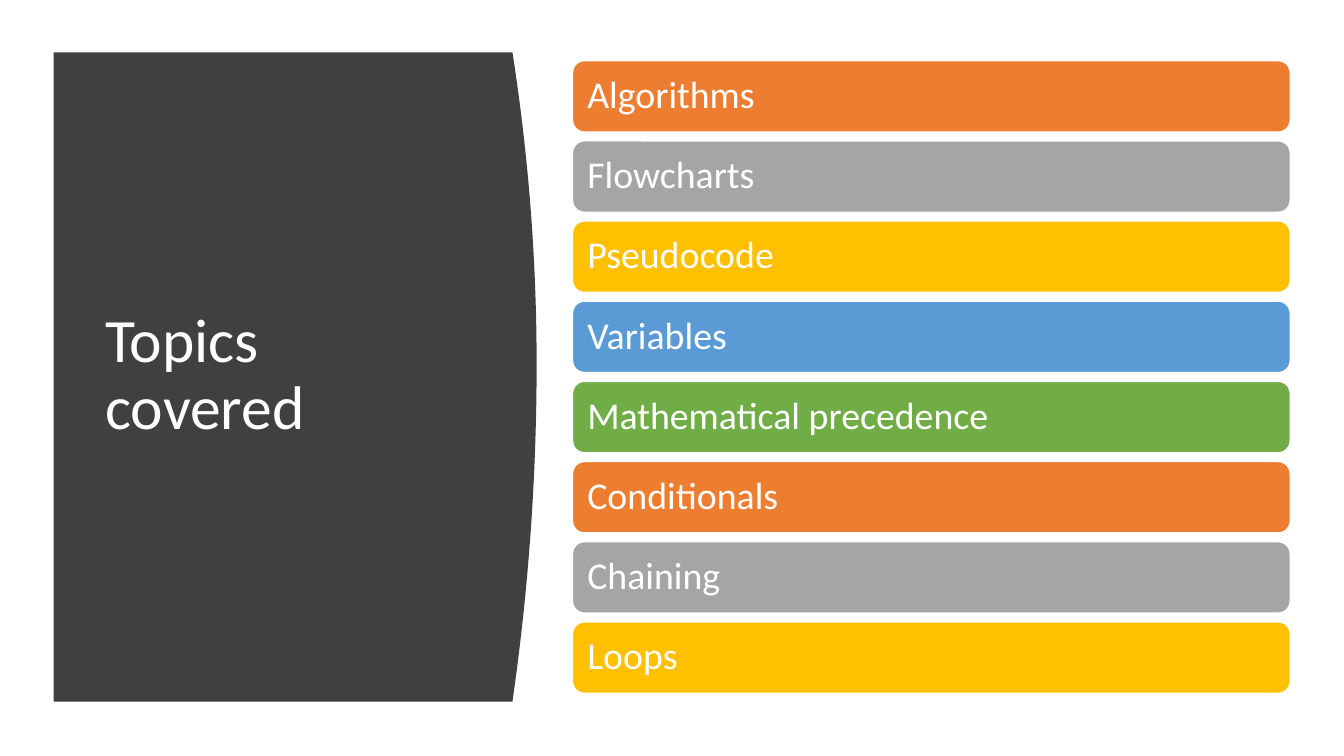
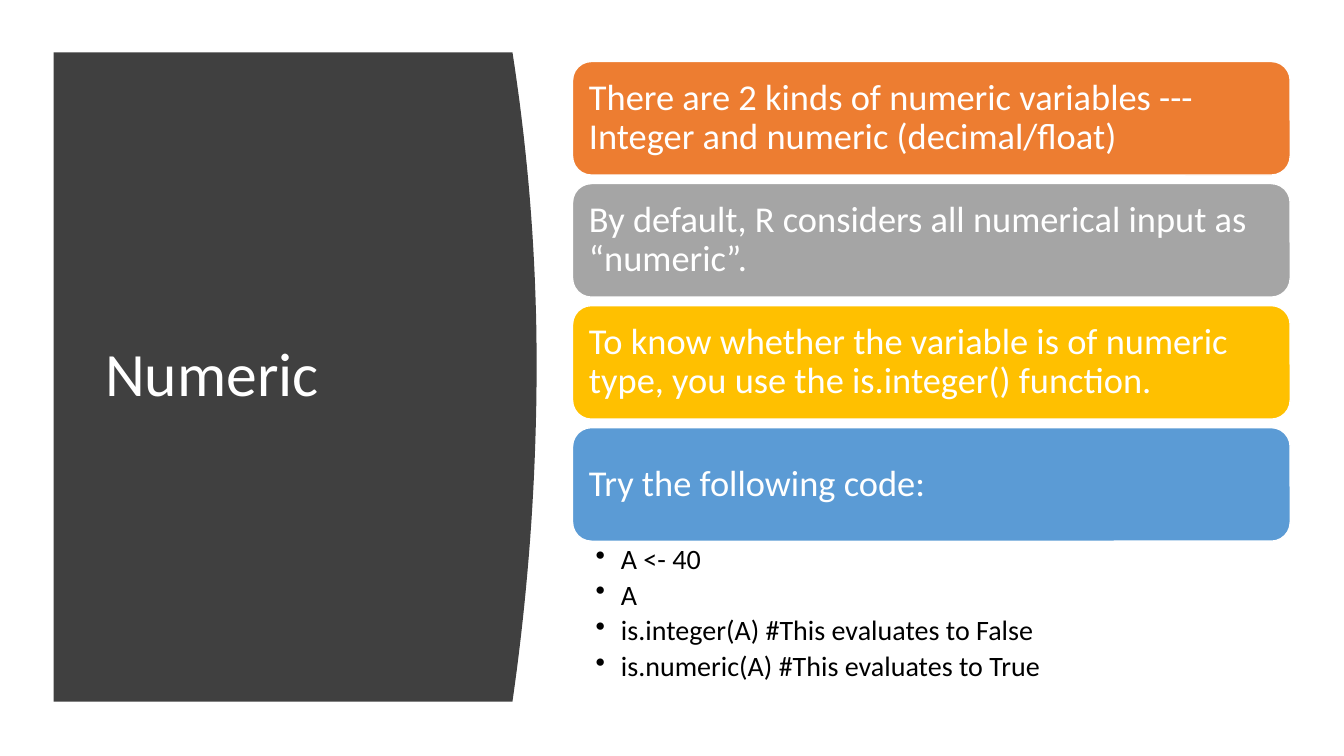
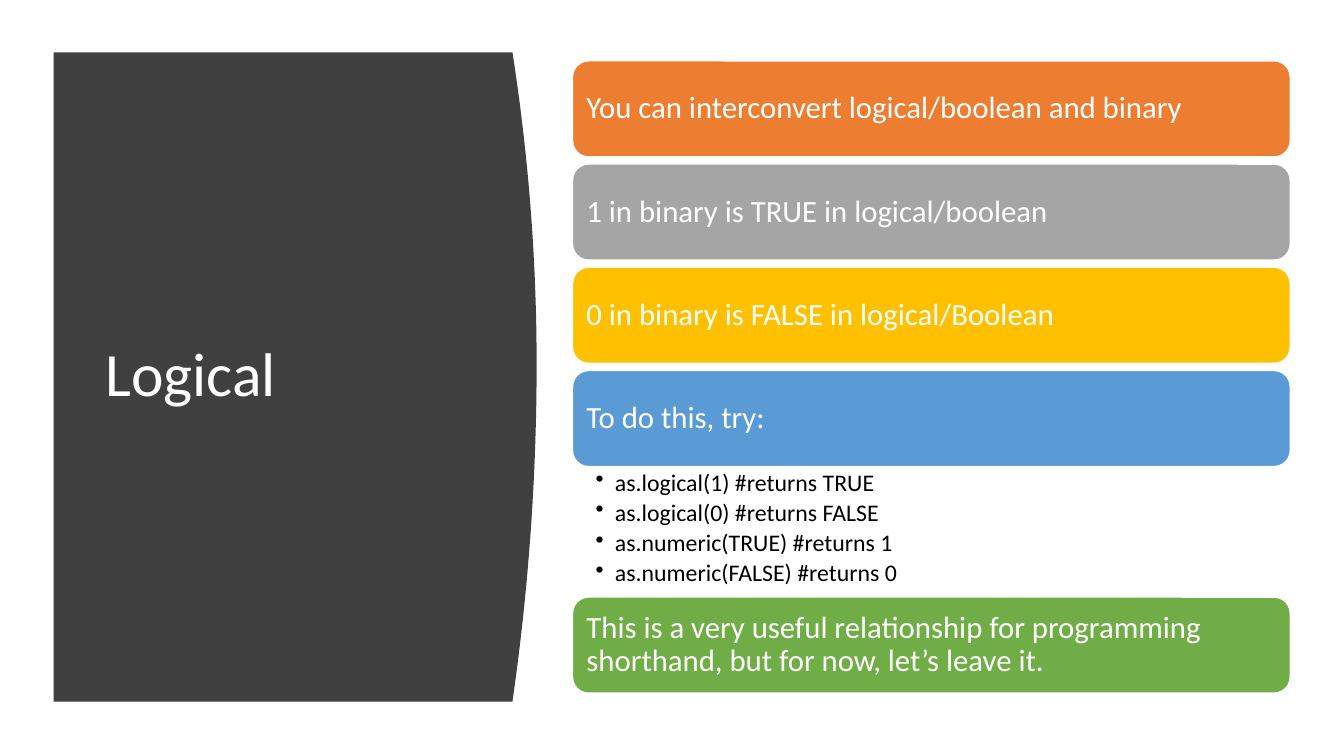
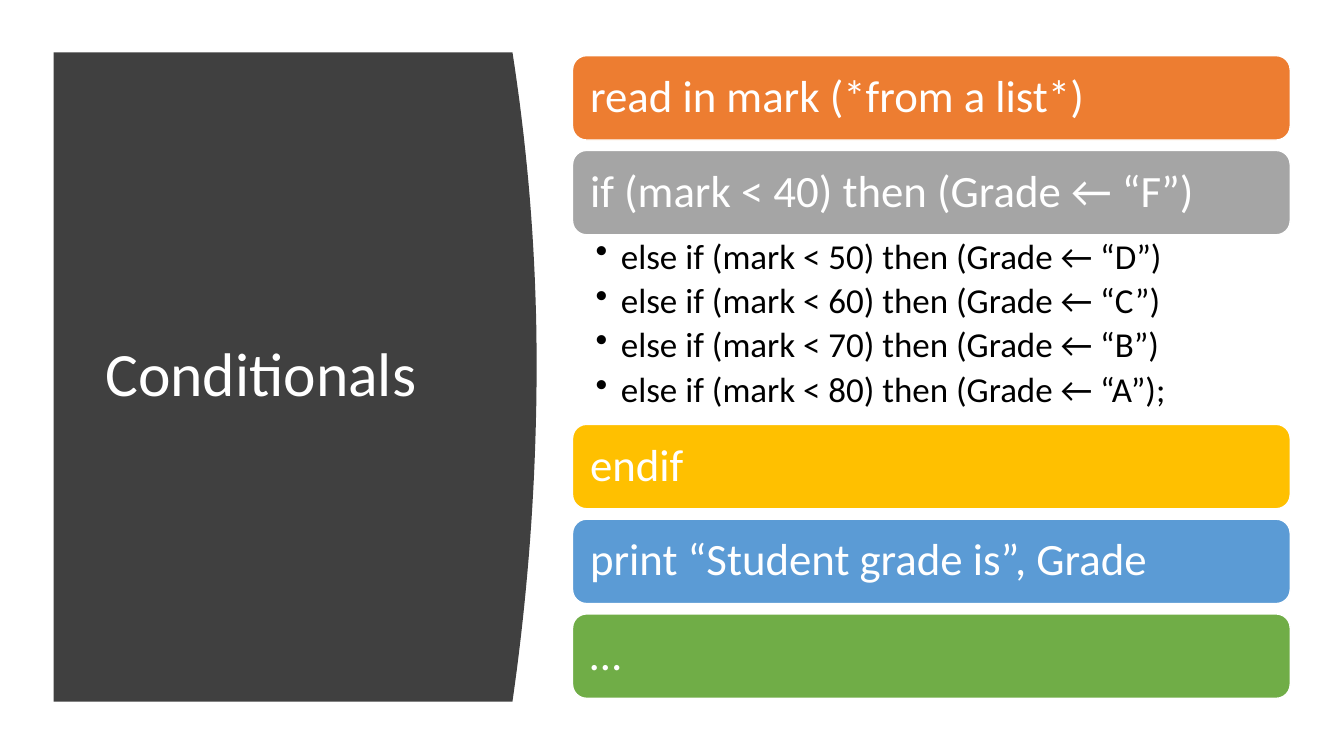
from dataclasses import dataclass
from itertools import cycle

from lxml.etree import SubElement
from pptx import Presentation
from pptx.dml.color import RGBColor
from pptx.enum.shapes import MSO_SHAPE
from pptx.enum.text import MSO_ANCHOR, PP_ALIGN
from pptx.oxml.ns import qn
from pptx.util import Inches, Pt


@dataclass(frozen=True)
class Theme:
    font: str = "Calibri"
    white: str = "FFFFFF"
    black: str = "000000"
    panel: str = "404040"
    accents: tuple = ("ED7D31", "A5A5A5", "FFC000", "5B9BD5", "70AD47")
    title_size: int = 44
    line_spacing: float = 0.9
    outline: int = 1


@dataclass(frozen=True)
class Box:
    left: int
    top: int
    width: int
    height: int

    def region(self, column, row, columns, rows):
        return Box(
            round(self.left + self.width * column / 100),
            round(self.top + self.height * row / 100),
            round(self.width * columns / 100),
            round(self.height * rows / 100),
        )

    @property
    def frame(self):
        return self.left, self.top, self.width, self.height


@dataclass(frozen=True)
class Card:
    text: str
    bullets: tuple = ()


@dataclass(frozen=True)
class Topic:
    title: str
    cards: tuple
    card_size: int
    card_rows: float
    bullet_size: int = 0
    bullet_rows: float = 0
    bullet_indent: float = 0.25


THEME = Theme()

TOPICS = (
    Topic(
        "Topics covered",
        tuple(
            Card(name)
            for name in (
                "Algorithms",
                "Flowcharts",
                "Pseudocode",
                "Variables",
                "Mathematical precedence",
                "Conditionals",
                "Chaining",
                "Loops",
            )
        ),
        card_size=27,
        card_rows=11,
    ),
    Topic(
        "Numeric",
        (
            Card("There are 2 kinds of numeric variables --- Integer and numeric (decimal/float)"),
            Card("By default, R considers all numerical input as “numeric”."),
            Card("To know whether the variable is of numeric type, you use the is.integer() function."),
            Card(
                "Try the following code:",
                (
                    "A <- 40",
                    "A",
                    "is.integer(A) #This evaluates to False",
                    "is.numeric(A) #This evaluates to True",
                ),
            ),
        ),
        card_size=26,
        card_rows=17.5,
        bullet_size=20,
        bullet_rows=23.3,
    ),
    Topic(
        "Logical",
        (
            Card("You can interconvert logical/boolean and binary"),
            Card("1 in binary is TRUE in logical/boolean"),
            Card("0 in binary is FALSE in logical/Boolean"),
            Card(
                "To do this, try:",
                (
                    "as.logical(1) #returns TRUE",
                    "as.logical(0) #returns FALSE",
                    "as.numeric(TRUE) #returns 1",
                    "as.numeric(FALSE) #returns 0",
                ),
            ),
            Card("This is a very useful relationship for programming shorthand, but for now, let’s leave it."),
        ),
        card_size=22,
        card_rows=14.8,
        bullet_size=17,
        bullet_rows=20.1,
        bullet_indent=0.19,
    ),
    Topic(
        "Conditionals",
        (
            Card("read in mark (*from a list*)"),
            Card(
                "if (mark < 40) then (Grade ← “F”)",
                tuple(
                    f"else if (mark < {mark}) then (Grade ← “{grade}”){ending}"
                    for mark, grade, ending in ((50, "D", ""), (60, "C", ""), (70, "B", ""), (80, "A", ";"))
                ),
            ),
            Card("endif"),
            Card("print “Student grade is”, Grade"),
            Card("…"),
        ),
        card_size=32,
        card_rows=13,
        bullet_size=25,
        bullet_rows=29.2,
    ),
)


def add_bullet(paragraph, indent):
    properties = paragraph._p.get_or_add_pPr()
    properties.set("marL", str(Inches(indent)))
    properties.set("indent", str(-Inches(indent)))
    SubElement(properties, qn("a:buChar")).set("char", "•")


def write_text(shape, *lines, size, color, margins, anchor=MSO_ANCHOR.MIDDLE, indent=None, space_after=0):
    frame = shape.text_frame
    frame.word_wrap = True
    frame.vertical_anchor = anchor
    frame.margin_left, frame.margin_top, frame.margin_right, frame.margin_bottom = margins
    for number, line in enumerate(lines):
        paragraph = frame.add_paragraph() if number else frame.paragraphs[0]
        if indent:
            add_bullet(paragraph, indent)
        paragraph.alignment = PP_ALIGN.LEFT
        paragraph.line_spacing = THEME.line_spacing
        paragraph.space_after = Pt(space_after)
        run = paragraph.add_run()
        run.text = line
        run.font.name = THEME.font
        run.font.size = Pt(size)
        run.font.color.rgb = RGBColor.from_string(color)


def paint(shape, color):
    shape.shadow.inherit = False
    shape.fill.solid()
    shape.fill.fore_color.rgb = RGBColor.from_string(color)


def add_title_panel(slide, box, title):
    edge_share, apex_share, steps = 0.95, 0.48, 40
    bulge = box.width * (1 - edge_share)
    points = []
    for step in range(steps + 1):
        share = step / steps
        half = apex_share if share < apex_share else 1 - apex_share
        retreat = bulge * ((share - apex_share) / half) ** 2
        points.append((round(box.left + box.width - retreat), round(box.top + box.height * share)))
    builder = slide.shapes.build_freeform(box.left, box.top, scale=1.0)
    builder.add_line_segments([*points, (box.left, box.top + box.height)], close=True)
    panel = builder.convert_to_shape()
    paint(panel, THEME.panel)
    panel.line.fill.background()

    title_box = slide.shapes.add_textbox(*box.region(8.6, 9.2, 78.1, 81.4).frame)
    margins = (Inches(0.1), Inches(0.05)) * 2
    write_text(title_box, title, size=THEME.title_size, color=THEME.white, margins=margins)


def add_card(slide, box, text, size, color):
    card = slide.shapes.add_shape(MSO_SHAPE.ROUNDED_RECTANGLE, *box.frame)
    paint(card, color)
    card.line.color.rgb = RGBColor.from_string(THEME.white)
    card.line.width = Pt(THEME.outline)
    write_text(card, text, size=size, color=THEME.white, margins=(Pt(size * 0.3),) * 4)


def add_bullets(slide, box, lines, size, indent):
    text_box = slide.shapes.add_textbox(*box.frame)
    margins = (Inches(0.23), Inches(0.04), Inches(size / 100), Inches(0.04))
    write_text(
        text_box,
        *lines,
        size=size,
        color=THEME.black,
        margins=margins,
        anchor=MSO_ANCHOR.TOP,
        indent=indent,
        space_after=size * 0.19,
    )


def add_card_stack(slide, box, topic):
    gap = topic.card_size * 0.05
    followers = [topic.bullet_rows if card.bullets else gap for card in topic.cards]
    if not topic.cards[-1].bullets:
        followers[-1] = 0
    row = (100 - len(topic.cards) * topic.card_rows - sum(followers)) / 2
    for card, follower, color in zip(topic.cards, followers, cycle(THEME.accents)):
        add_card(slide, box.region(0, row, 100, topic.card_rows), card.text, topic.card_size, color)
        row += topic.card_rows
        if card.bullets:
            bullet_box = box.region(0, row, 100, follower)
            add_bullets(slide, bullet_box, card.bullets, topic.bullet_size, topic.bullet_indent)
        row += follower


def add_topic_slide(presentation, topic):
    slide = presentation.slides.add_slide(presentation.slide_layouts[6])
    page = Box(0, 0, presentation.slide_width, presentation.slide_height)
    add_title_panel(slide, page.region(4, 6.93, 35.93, 85.87), topic.title)
    add_card_stack(slide, page.region(42.6, 6.93, 53.4, 85.87), topic)


def main():
    presentation = Presentation()
    presentation.slide_width = Inches(13.33)
    presentation.slide_height = Inches(7.5)
    for topic in TOPICS:
        add_topic_slide(presentation, topic)
    presentation.save("out.pptx")


if __name__ == "__main__":
    main()
